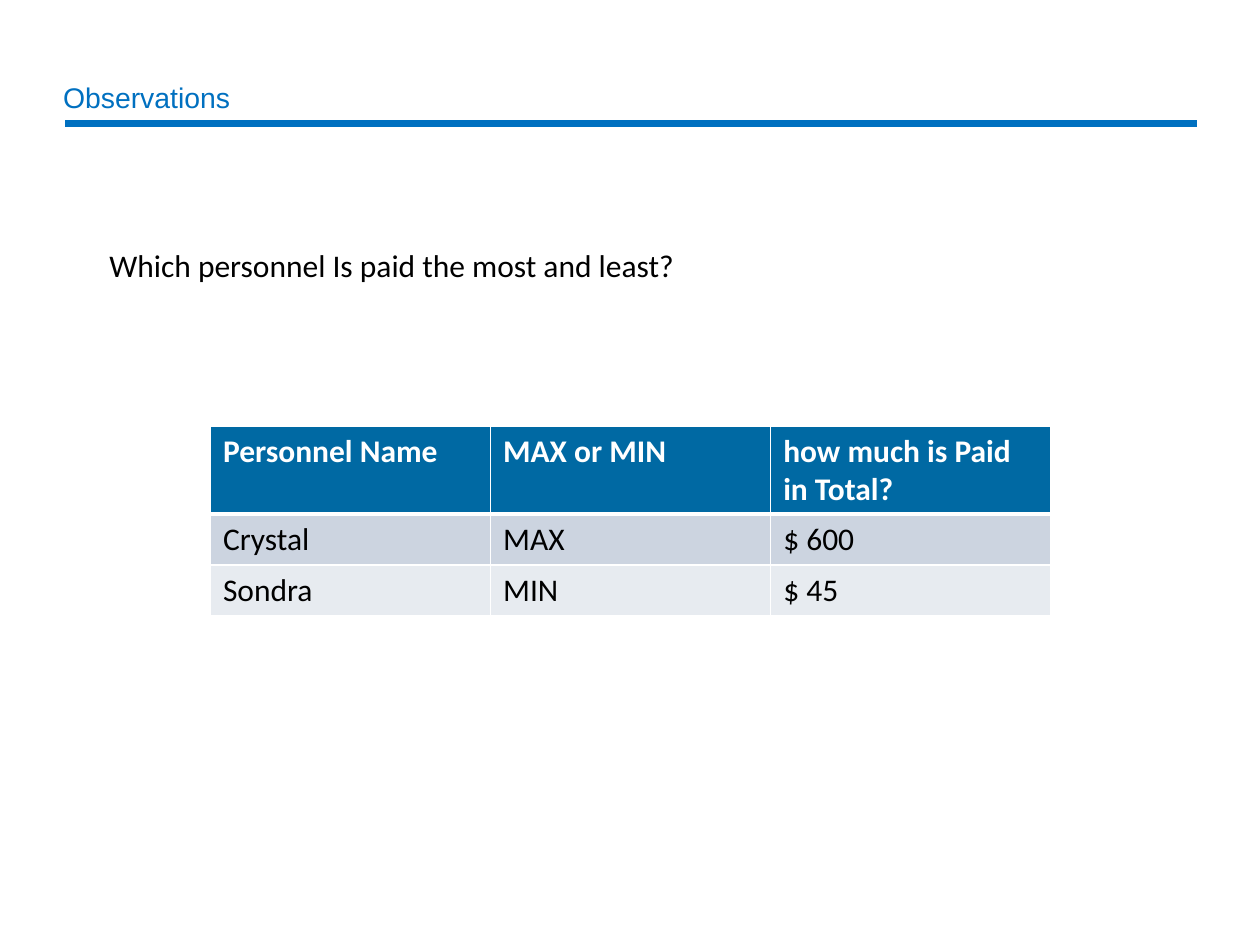
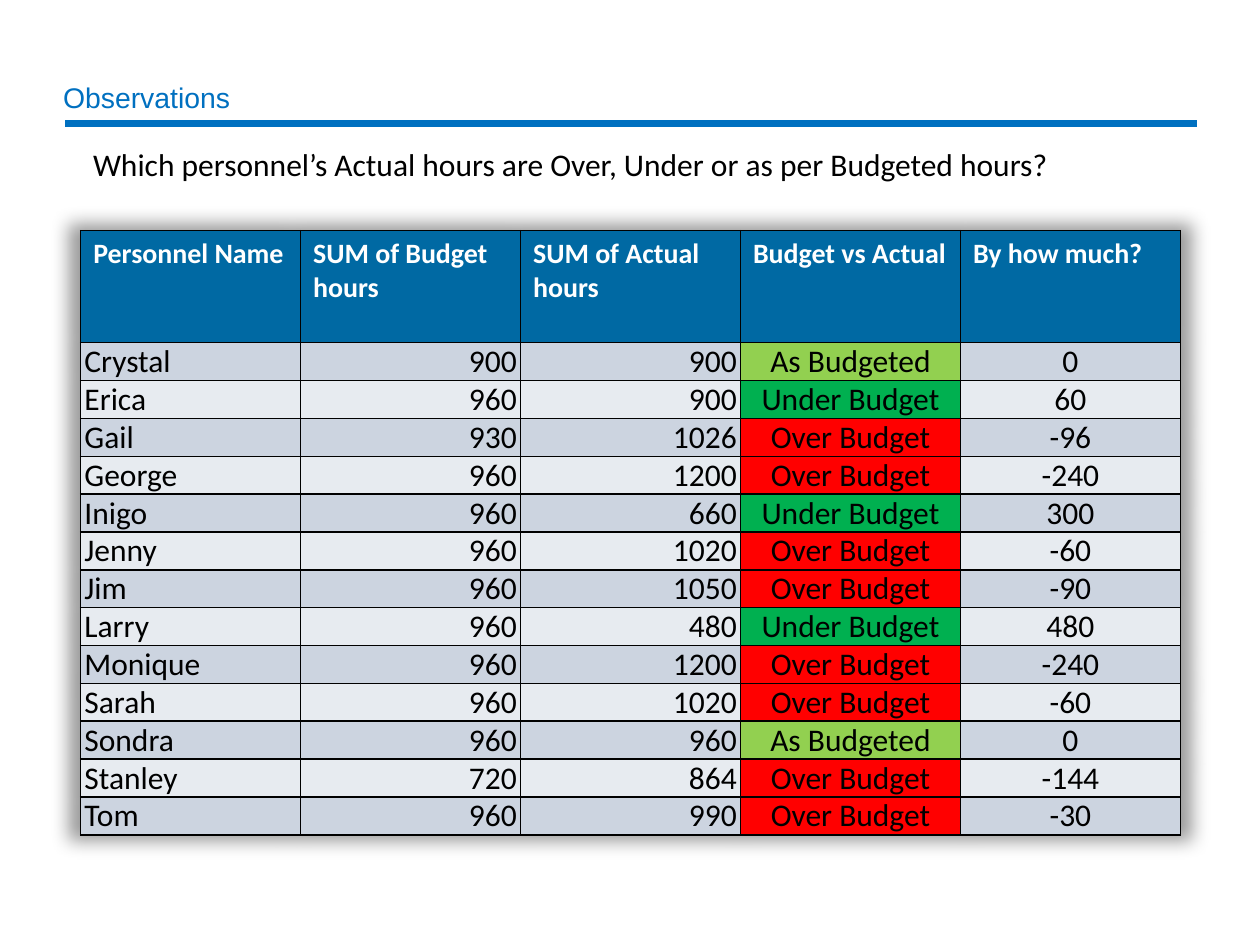
from dataclasses import dataclass

from lxml import etree
from pptx import Presentation
from pptx.dml.color import RGBColor
from pptx.enum.shapes import MSO_CONNECTOR
from pptx.enum.text import MSO_ANCHOR, PP_ALIGN
from pptx.oxml import parse_xml
from pptx.oxml.ns import nsdecls, qn
from pptx.util import Inches, Pt

LEFT, CENTER, RIGHT = PP_ALIGN.LEFT, PP_ALIGN.CENTER, PP_ALIGN.RIGHT
TOP, MIDDLE, BOTTOM = MSO_ANCHOR.TOP, MSO_ANCHOR.MIDDLE, MSO_ANCHOR.BOTTOM
STRAIGHT = MSO_CONNECTOR.STRAIGHT
TITLE_ONLY = 5
SLIDE_WIDTH, SLIDE_HEIGHT = Inches(10), Inches(7.5)


@dataclass(frozen=True)
class Theme:
    title_font: str = "Arial"
    body_font: str = "Calibri"
    title_size: float = 16.2
    body_size: float = 18
    compact_header_size: float = 16
    rule_width: float = 4.5
    accent: str = "0070C0"
    header: str = "0069A3"
    bands: tuple = ("CCD4E0", "E7EBF0")
    text: str = "000000"
    light: str = "FFFFFF"


THEME = Theme()
STATUS_FILLS = {
    "As Budgeted": "92D050",
    "Under Budget": "00B050",
    "Over Budget": "FF0000",
}

PAY_TABLE = [
    ("Personnel Name", "MAX or MIN", "how much is Paid in Total?"),
    ("Crystal", "MAX", "$ 600"),
    ("Sondra", "MIN", "$ 45"),
]
HOURS_HEADER = ("Personnel Name", "SUM of Budget hours", "SUM of Actual hours",
                "Budget vs Actual", "By how much?")
# Name, budgeted hours, actual hours
HOURS = [
    ("Crystal", 900, 900), ("Erica", 960, 900), ("Gail", 930, 1026),
    ("George", 960, 1200), ("Inigo", 960, 660), ("Jenny", 960, 1020),
    ("Jim", 960, 1050), ("Larry", 960, 480), ("Monique", 960, 1200),
    ("Sarah", 960, 1020), ("Sondra", 960, 960), ("Stanley", 720, 864),
    ("Tom", 960, 990),
]


# Lengths: percent of the slide's width and height
def across(percent):
    return round(SLIDE_WIDTH * percent / 100)


def down(percent):
    return round(SLIDE_HEIGHT * percent / 100)


def area(left, top, width, height):
    return across(left), down(top), across(width), down(height)


def style(paragraph, font, size, color, bold=False, align=LEFT):
    paragraph.alignment = align
    paragraph.font.name = font
    paragraph.font.size = Pt(size)
    paragraph.font.bold = bold
    paragraph.font.color.rgb = RGBColor.from_string(color)


# Parts shared by the slides
def add_slide(presentation, title):
    slide = presentation.slides.add_slide(presentation.slide_layouts[TITLE_ONLY])
    shape = slide.shapes.title
    shape.left, shape.top, shape.width, shape.height = area(5, 8.5, 90, 4)
    frame = shape.text_frame
    frame.text = title
    frame.margin_left = frame.margin_right = 0
    frame.vertical_anchor = MIDDLE
    paragraph = frame.paragraphs[0]
    paragraph.line_spacing = 0.9
    style(paragraph, THEME.title_font, THEME.title_size, THEME.accent)

    rule = slide.shapes.add_connector(
        STRAIGHT, across(5.2), down(13.07), across(95), down(13.07))
    rule.line.color.rgb = RGBColor.from_string(THEME.accent)
    rule.line.width = Pt(THEME.rule_width)
    etree.SubElement(rule._element.spPr, qn("a:effectLst"))
    return slide


def add_question(slide, text, left, top):
    frame = slide.shapes.add_textbox(*area(left, top, 87.3, 9.47)).text_frame
    frame.word_wrap = True
    frame.text = text
    style(frame.paragraphs[0], THEME.body_font, THEME.body_size, THEME.text)


# Tables
def set_borders(cell, color, bottom_width=1):
    properties = cell._tc.get_or_add_tcPr()
    widths = {"lnL": 1, "lnR": 1, "lnT": 1, "lnB": bottom_width}
    for position, (side, width) in enumerate(widths.items()):
        properties.insert(position, parse_xml(
            f'<a:{side} {nsdecls("a")} w="{Pt(width)}"><a:solidFill>'
            f'<a:srgbClr val="{color}"/></a:solidFill></a:{side}>'))


def fill_cell(cell, text, fill, color, size, bold=False, align=LEFT):
    cell.text = text
    cell.fill.solid()
    cell.fill.fore_color.rgb = RGBColor.from_string(fill)
    style(cell.text_frame.paragraphs[0], THEME.body_font, size, color, bold, align)


def add_table(slide, rows, left, top, width, header_height, row_height,
              aligns, header_size, border, header_rule=1):
    height = header_height + row_height * (len(rows) - 1)
    table = slide.shapes.add_table(
        len(rows), len(rows[0]), *area(left, top, width, height)).table
    for column in table.columns:
        column.width = across(width / len(rows[0]))
    for index, values in enumerate(rows):
        is_header = index == 0
        table.rows[index].height = down(header_height if is_header else row_height)
        for column, text in enumerate(values):
            cell = table.cell(index, column)
            if is_header:
                fill_cell(cell, text, THEME.header, THEME.light, header_size, True)
            else:
                fill = STATUS_FILLS.get(text, THEME.bands[(index - 1) % 2])
                fill_cell(cell, text, fill, THEME.text, THEME.body_size,
                          align=aligns[column])
            # The header's lower edge is also the first row's upper edge
            set_borders(cell, border, header_rule if is_header else 1)
    return table


def tighten_body(table):
    for row in list(table.rows)[1:]:
        for cell in row.cells:
            cell.margin_left = cell.margin_right = Inches(0.03)
            cell.margin_top = cell.margin_bottom = 0
            cell.vertical_anchor = BOTTOM


def add_table_shadow(table):
    table._tbl.tblPr.insert(0, parse_xml(
        f'<a:effectLst {nsdecls("a")}>'
        f'<a:outerShdw blurRad="{Pt(10)}" sx="102000" sy="102000" algn="ctr" '
        'rotWithShape="0"><a:srgbClr val="000000"><a:alpha val="40000"/>'
        '</a:srgbClr></a:outerShdw></a:effectLst>'))


def hours_row(name, budget, actual):
    difference = budget - actual
    if difference == 0:
        status = "As Budgeted"
    else:
        status = "Under Budget" if difference > 0 else "Over Budget"
    return name, str(budget), str(actual), status, str(difference)


# Slides
def add_pay_slide(presentation):
    slide = add_slide(presentation, "Observations")
    add_question(slide, "Which personnel Is paid the most and least?", 7.7, 25.33)
    add_table(slide, PAY_TABLE, 16.7, 45.07, 66.7, 9.2, 5.4, [LEFT] * 3,
              THEME.body_size, THEME.light, header_rule=3)


def add_hours_slide(presentation):
    slide = add_slide(presentation, "Observations")
    add_question(slide, "Which personnel’s Actual hours are Over, Under or "
                 "as per Budgeted hours?", 6.4, 14.67)
    rows = [HOURS_HEADER] + [hours_row(*record) for record in HOURS]
    table = add_table(slide, rows, 6.4, 24.4, 87.3, 11.87, 4,
                      [LEFT, RIGHT, RIGHT, CENTER, CENTER],
                      THEME.compact_header_size, THEME.text)
    tighten_body(table)
    add_table_shadow(table)


def main():
    presentation = Presentation()
    presentation.slide_width, presentation.slide_height = SLIDE_WIDTH, SLIDE_HEIGHT
    add_pay_slide(presentation)
    add_hours_slide(presentation)
    presentation.save("out.pptx")


main()
